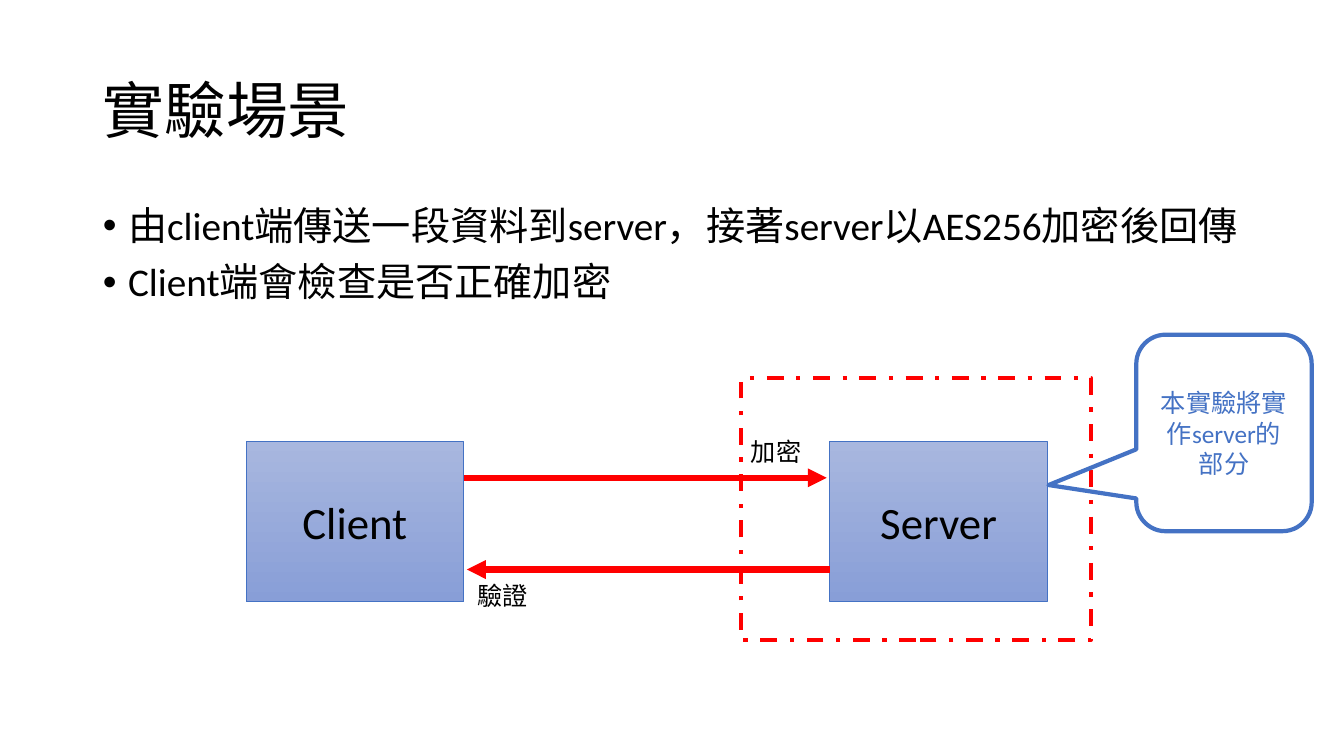
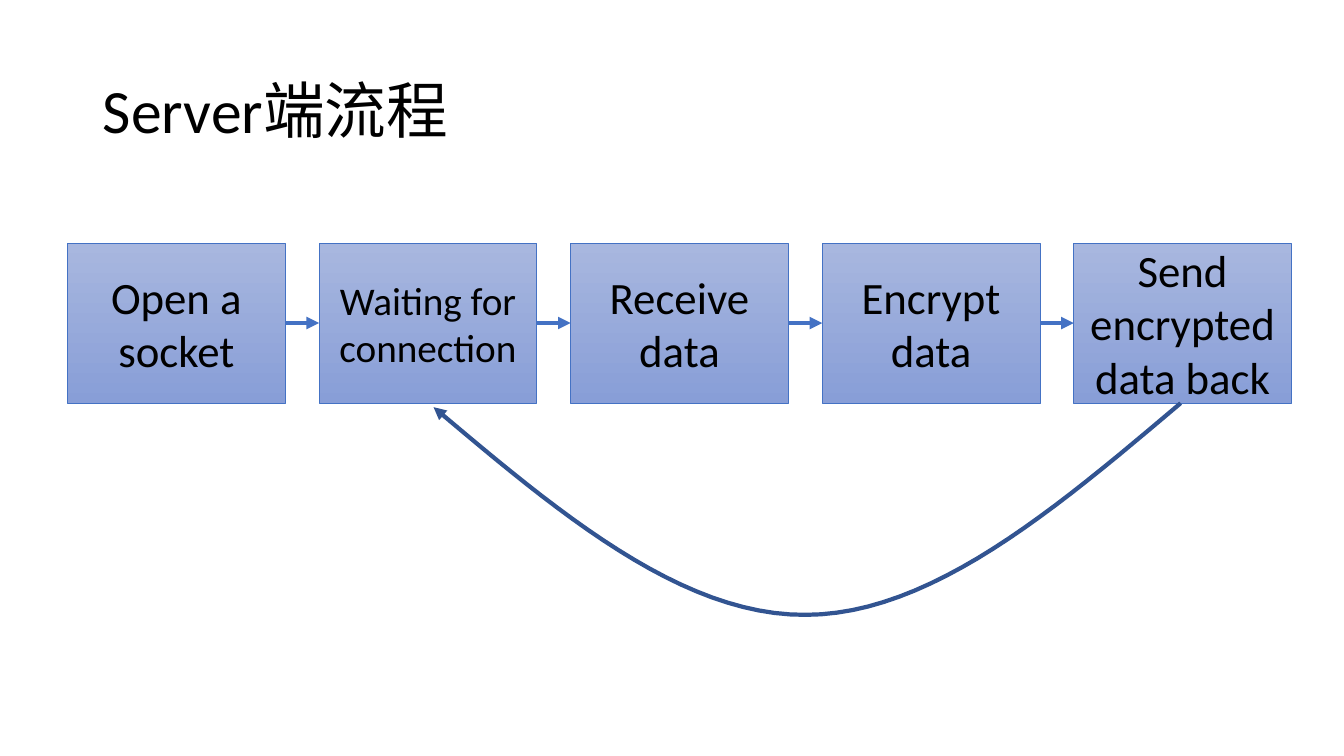
"""Build two slides on an encrypting server: the experiment scene and the server flow."""
from dataclasses import dataclass

from pptx import Presentation
from pptx.dml.color import RGBColor
from pptx.enum.dml import MSO_LINE
from pptx.enum.shapes import MSO_CONNECTOR, MSO_SHAPE
from pptx.enum.text import MSO_ANCHOR, MSO_AUTO_SIZE, PP_ALIGN
from pptx.oxml.ns import qn
from pptx.util import Inches, Pt
from lxml import etree


@dataclass(frozen=True)
class Theme:
    font: str = "Calibri"
    text: RGBColor = RGBColor(0, 0, 0)
    blue: RGBColor = RGBColor(0x44, 0x72, 0xC4)
    navy: RGBColor = RGBColor(0x32, 0x54, 0x91)
    red: RGBColor = RGBColor(0xFF, 0, 0)
    box_fill: tuple = (RGBColor(0xA8, 0xB7, 0xDF), RGBColor(0x88, 0x9E, 0xD7))
    title_size: int = 44
    box_size: int = 32
    body_size: int = 28
    label_size: int = 18


theme = Theme()


def write(tf, lines, size, color=theme.text, anchor=MSO_ANCHOR.TOP, **paragraph_format):
    tf.auto_size = MSO_AUTO_SIZE.NONE
    tf.word_wrap = True
    tf.vertical_anchor = anchor
    for i, line in enumerate(lines):
        p = tf.paragraphs[0] if i == 0 else tf.add_paragraph()
        for name, value in paragraph_format.items():
            setattr(p, name, value)
        r = p.add_run()
        r.text = line
        for name, value in {"name": theme.font, "size": Pt(size)}.items():
            setattr(r.font, name, value)
        r.font.color.rgb = color


def style_arrow(sp, color, width):
    sp.line.color.rgb = color
    sp.line.width = Pt(width)
    etree.SubElement(sp.line._get_or_add_ln(), qn("a:tailEnd"), type="triangle")
    etree.SubElement(sp._element.spPr, qn("a:effectLst"))


prs = Presentation()
prs.slide_width, prs.slide_height = Inches(13.33), Inches(7.5)
scene = prs.slides.add_slide(prs.slide_layouts[1])
flow = prs.slides.add_slide(prs.slide_layouts[5])

for s, title in ((scene, "實驗場景"), (flow, "Server端流程")):
    sp = s.shapes.title
    sp.left, sp.top, sp.width, sp.height = map(Inches, (0.92, 0.4, 11.5, 1.45))
    write(sp.text_frame, [title], theme.title_size, anchor=MSO_ANCHOR.MIDDLE,
          alignment=PP_ALIGN.LEFT, line_spacing=0.9)

body = scene.placeholders[1]
body.left, body.top, body.width, body.height = map(Inches, (0.92, 2, 11.5, 1.32))
bullets = ["由client端傳送一段資料到server，接著server以AES256加密後回傳",
           "Client端會檢查是否正確加密"]
write(body.text_frame, bullets, theme.body_size, line_spacing=0.9, space_before=Pt(10))
for p in body.text_frame.paragraphs:
    pPr = p._p.get_or_add_pPr()
    pPr.set("marL", str(Inches(0.25)))
    pPr.set("indent", str(-Inches(0.25)))

box_w, box_h = 2.16, 1.59
scene_top, client_x, server_x = 4.38, 2.44, 8.23
flow_top, flow_x, pitch = 2.41, 0.67, 2.495
steps = ["Open a socket", "Waiting for connection", "Receive data",
         "Encrypt data", "Send encrypted data back"]
boxes = [(scene, client_x, scene_top, "Client"), (scene, server_x, scene_top, "Server")]
boxes += [(flow, flow_x + i * pitch, flow_top, step) for i, step in enumerate(steps)]
for s, x, y, text in boxes:
    sp = s.shapes.add_shape(MSO_SHAPE.RECTANGLE, *map(Inches, (x, y, box_w, box_h)))
    sp.shadow.inherit = False
    sp.fill.gradient()
    sp.fill.gradient_angle = 270
    for stop, color in zip(sp.fill.gradient_stops, theme.box_fill):
        stop.color.rgb = color
    sp.line.color.rgb = theme.blue
    sp.line.width = Pt(0.5)
    size = theme.body_size if text == "Waiting for connection" else theme.box_size
    write(sp.text_frame, [text], size, anchor=MSO_ANCHOR.MIDDLE, alignment=PP_ALIGN.CENTER)

flow_y = flow_top + box_h / 2
arrows = [(scene, client_x + box_w, 8.2, 4.74, theme.red, 4.5),
          (scene, server_x, 4.63, 5.65, theme.red, 4.5)]
arrows += [(flow, flow_x + i * pitch + box_w, flow_x + (i + 1) * pitch, flow_y, theme.blue, 3)
           for i in range(len(steps) - 1)]
for s, x1, x2, y, color, width in arrows:
    sp = s.shapes.add_connector(MSO_CONNECTOR.STRAIGHT, *map(Inches, (x1, y, x2, y)))
    style_arrow(sp, color, width)

for x, y, text in ((7.35, 4.28, "加密"), (4.64, 5.71, "驗證")):
    sp = scene.shapes.add_textbox(*map(Inches, (x, y, 0.88, 0.4)))
    write(sp.text_frame, [text], theme.label_size)

frame = scene.shapes.add_shape(MSO_SHAPE.RECTANGLE, *map(Inches, (7.35, 3.75, 3.47, 2.6)))
callout = scene.shapes.add_shape(MSO_SHAPE.ROUNDED_RECTANGULAR_CALLOUT,
                                 *map(Inches, (11.27, 3.32, 1.74, 1.95)))
for sp, color in ((frame, theme.red), (callout, theme.blue)):
    sp.shadow.inherit = False
    sp.fill.background()
    sp.line.color.rgb = color
    sp.line.width = Pt(3)
frame.line.dash_style = MSO_LINE.DASH_DOT
for i, value in enumerate((-1, 0.265, 0.167)):
    callout.adjustments[i] = value
write(callout.text_frame, ["本實驗將實作server的部分"], theme.label_size, theme.blue,
      MSO_ANCHOR.MIDDLE, alignment=PP_ALIGN.CENTER)

curves = [((11.71, 4), (10.47, 5.05), (9.23, 6.1), (7.99, 6.1)),
          ((7.99, 6.1), (6.75, 6.11), (5.52, 5.07), (4.3, 4.04))]
samples = 24
points = []
for curve in curves:
    for i in range(1, samples + 1):
        t = i / samples
        weights = ((1 - t) ** 3, 3 * t * (1 - t) ** 2, 3 * t ** 2 * (1 - t), t ** 3)
        points.append(tuple(Inches(sum(w * c for w, c in zip(weights, axis)))
                            for axis in zip(*curve)))
builder = flow.shapes.build_freeform(*map(Inches, curves[0][0]))
builder.add_line_segments(points, close=False)
loop_back = builder.convert_to_shape()
loop_back.fill.background()
style_arrow(loop_back, theme.navy, 3)

prs.save("out.pptx")
